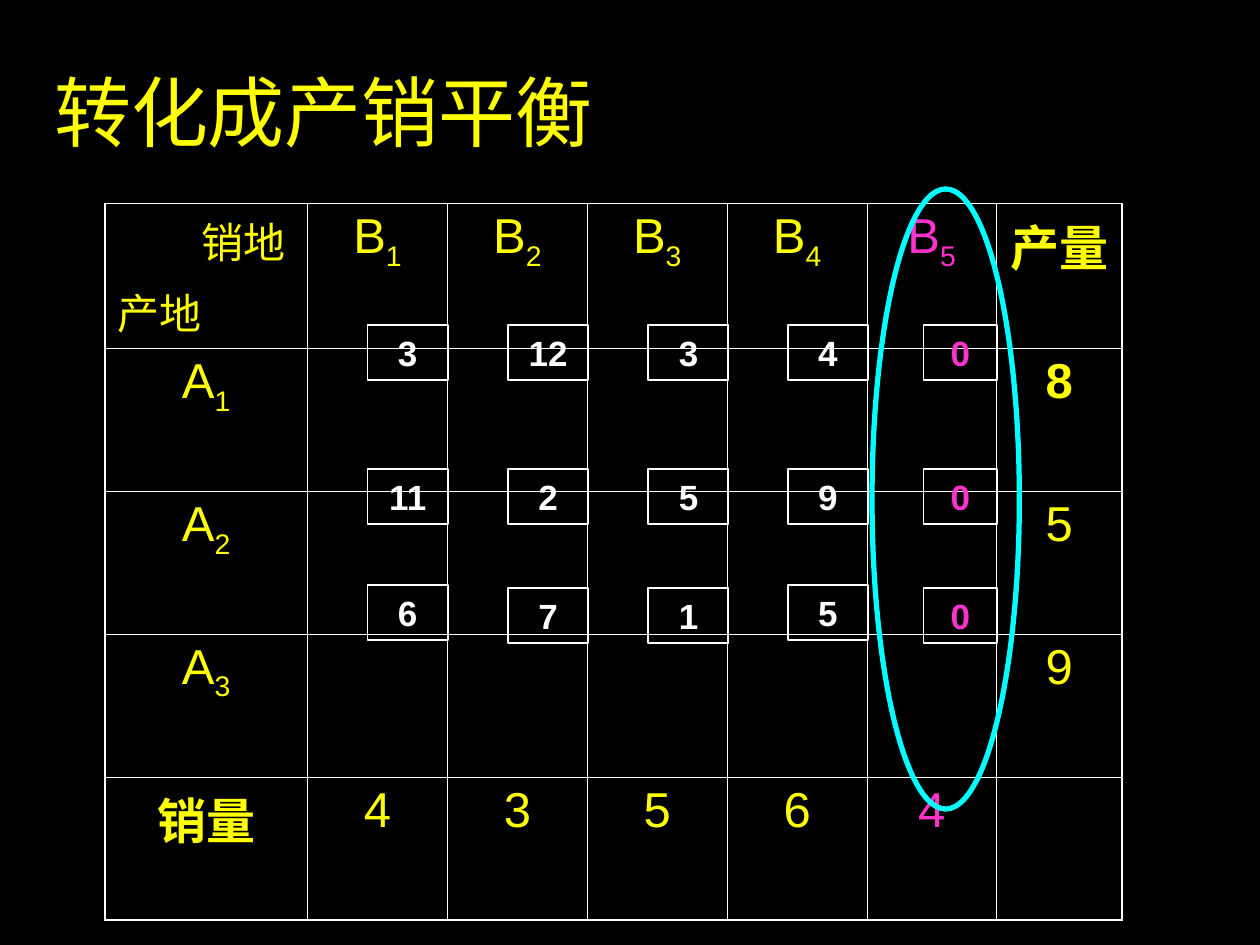
from dataclasses import dataclass

from lxml import etree
from pptx import Presentation
from pptx.dml.color import RGBColor
from pptx.enum.shapes import MSO_SHAPE
from pptx.enum.text import MSO_ANCHOR, PP_ALIGN
from pptx.oxml.ns import qn
from pptx.util import Cm, Pt

RECTANGLE, OVAL = MSO_SHAPE.RECTANGLE, MSO_SHAPE.OVAL
MIDDLE = MSO_ANCHOR.MIDDLE
LEFT, CENTER, RIGHT = PP_ALIGN.LEFT, PP_ALIGN.CENTER, PP_ALIGN.RIGHT
SANS, SERIF = "Arial", "Times New Roman"
BLACK, WHITE, YELLOW, PINK, CYAN = "000000", "FFFFFF", "FFFF00", "FF33CC", "00FFFF"

COLUMN_WIDTHS = [4.09, 2.82, 2.82, 2.82, 2.82, 2.6, 2.54]
ROW_HEIGHTS = [2.51, 2.88, 2.88, 2.88, 2.88]
COST_LEFTS = [7.41, 10.24, 13.07, 15.88, 18.62]
COST_TOPS = [6.55, 9.45, 11.85]
COSTS = [[3, 12, 3, 4, 0], [11, 2, 5, 9, 0], [6, 7, 1, 5, 0]]


@dataclass
class Entry:
    """Text of one table cell, with an optional subscript."""

    row: int
    column: int
    text: str
    subscript: str = ""
    color: str = YELLOW
    font: str = SANS
    bold: bool = False


ENTRIES = [
    *[Entry(0, n, "B", str(n), PINK if n == 5 else YELLOW) for n in range(1, 6)],
    *[Entry(n, 0, "A", str(n)) for n in range(1, 4)],
    *[Entry(4, n, text, color=PINK if n == 5 else YELLOW) for n, text in enumerate("43564", 1)],
    *[Entry(n, 6, text, bold=n == 1) for n, text in enumerate("859", 1)],
    Entry(0, 6, "产量", font=SERIF, bold=True),
    Entry(4, 0, "销量", font=SERIF, bold=True),
]


def rgb(color: str) -> RGBColor:
    """Turn a hex string into a colour."""
    return RGBColor.from_string(color)


def style(paragraph, size: float, color: str, font: str, bold=False, align=CENTER) -> None:
    """Align a paragraph and format all its runs."""
    paragraph.alignment = align
    for span in paragraph.runs:
        span.font.size = Pt(size)
        span.font.name = font
        span.font.bold = bold
        span.font.color.rgb = rgb(color)


def add_border(cell, side: str, width: float) -> None:
    """Draw one white border of a cell."""
    line = etree.SubElement(cell._tc.get_or_add_tcPr(), qn(f"a:{side}"), w=str(Pt(width)))
    fill = etree.SubElement(line, qn("a:solidFill"))
    etree.SubElement(fill, qn("a:srgbClr"), val=WHITE)


def add_grid(page):
    """Add the empty table with thin inner and thicker outer borders."""
    rows, columns = len(ROW_HEIGHTS), len(COLUMN_WIDTHS)
    frame = page.shapes.add_table(rows, columns, Cm(2.11), Cm(4.1),
                                  Cm(sum(COLUMN_WIDTHS)), Cm(sum(ROW_HEIGHTS)))
    table = frame.table
    table.first_row = table.horz_banding = False
    for column, width in zip(table.columns, COLUMN_WIDTHS):
        column.width = Cm(width)
    for row, height in zip(table.rows, ROW_HEIGHTS):
        row.height = Cm(height)
    for r in range(rows):
        for c in range(columns):
            cell = table.cell(r, c)
            outer = {"lnL": c == 0, "lnR": c == columns - 1, "lnT": r == 0, "lnB": r == rows - 1}
            for side, is_outer in outer.items():
                add_border(cell, side, 1.08 if is_outer else 0.45)
            cell.fill.background()
    return table


def fill_corner(cell) -> None:
    """Write the two headings of the corner cell."""
    cell.margin_right = Cm(0.45)
    cell.text_frame.text = "销地\n产地"
    for paragraph, align in zip(cell.text_frame.paragraphs, (RIGHT, LEFT)):
        style(paragraph, 24, YELLOW, SERIF, align=align)
    cell.text_frame.paragraphs[1].space_before = Pt(6)


def fill_cell(table, entry: Entry) -> None:
    """Write one entry into the table."""
    paragraph = table.cell(entry.row, entry.column).text_frame.paragraphs[0]
    paragraph.text = entry.text
    if entry.subscript:
        span = paragraph.add_run()
        span.text = entry.subscript
        span._r.get_or_add_rPr().set("baseline", "-25000")
    style(paragraph, 28, entry.color, entry.font, entry.bold)


def add_outline(page, kind, left: float, top: float, width: float, height: float,
                color: str, weight: float):
    """Add an unfilled shape with a coloured line."""
    shape = page.shapes.add_shape(kind, Cm(left), Cm(top), Cm(width), Cm(height))
    shape.shadow.inherit = False
    shape.fill.background()
    shape.line.color.rgb = rgb(color)
    shape.line.width = Pt(weight)
    return shape


def add_cost(page, row: int, column: int) -> None:
    """Add the box with one unit cost."""
    dummy = column == 4
    raised = 0.05 if row == 2 and column in (0, 3) else 0
    box = add_outline(page, RECTANGLE, COST_LEFTS[column], COST_TOPS[row] - raised,
                      1.48 if dummy else 1.62, 1.11, WHITE, 1)
    box.text_frame.text = str(COSTS[row][column])
    box.text_frame.vertical_anchor = MIDDLE
    style(box.text_frame.paragraphs[0], 20, PINK if dummy else WHITE, SANS, bold=True)


def add_title(page, text: str) -> None:
    """Add the slide title."""
    box = page.shapes.add_textbox(Cm(0.84), Cm(0.64), Cm(21.59), Cm(3.18))
    box.text_frame.word_wrap = True
    box.text_frame.vertical_anchor = MIDDLE
    box.text_frame.text = text
    style(box.text_frame.paragraphs[0], 44, YELLOW, SERIF, align=LEFT)


def main() -> None:
    """Build the balanced transportation problem slide."""
    deck = Presentation()
    deck.slide_width, deck.slide_height = Cm(25.4), Cm(19.05)
    page = deck.slides.add_slide(deck.slide_layouts[6])
    page.background.fill.solid()
    page.background.fill.fore_color.rgb = rgb(BLACK)
    table = add_grid(page)
    fill_corner(table.cell(0, 0))
    for entry in ENTRIES:
        fill_cell(table, entry)
    add_title(page, "转化成产销平衡")
    for row, costs in enumerate(COSTS):
        for column in range(len(costs)):
            add_cost(page, row, column)
    add_outline(page, OVAL, 17.58, 3.81, 2.97, 12.5, CYAN, 3)
    deck.save("out.pptx")


if __name__ == "__main__":
    main()
